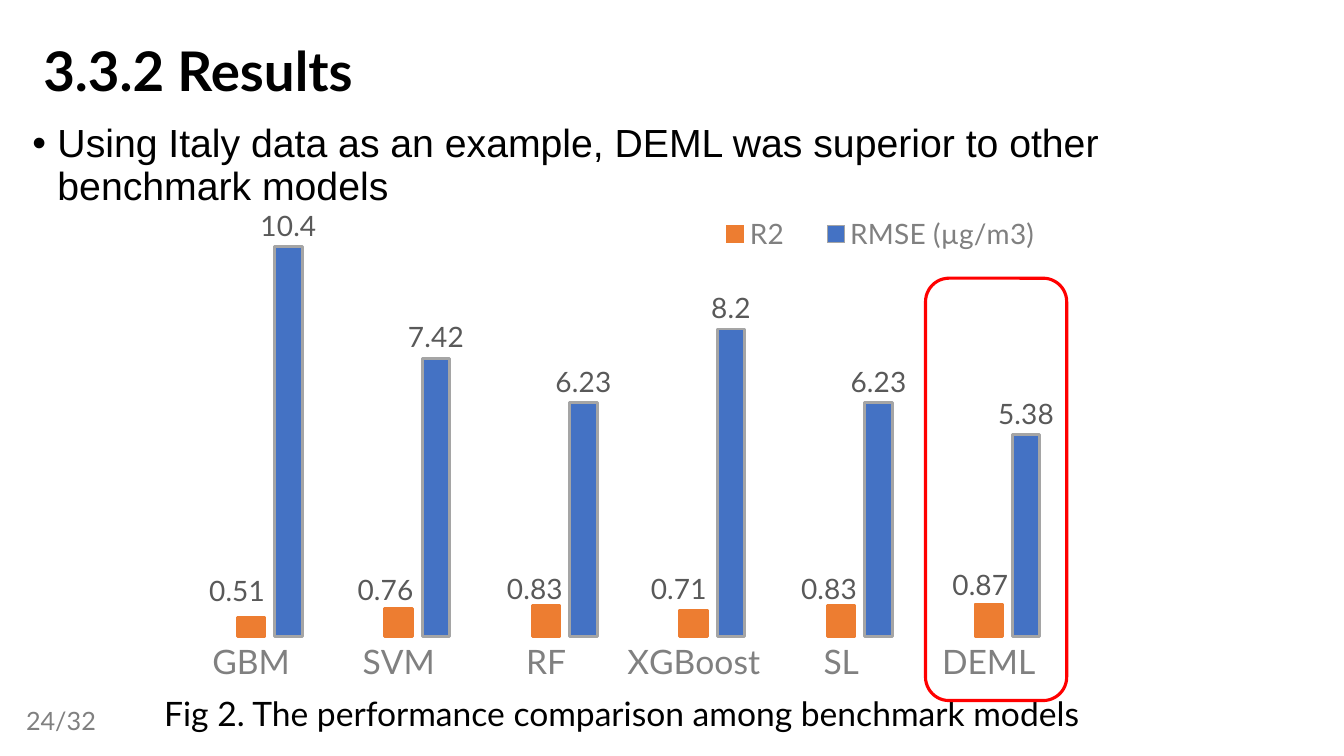
from lxml import etree
from pptx import Presentation
from pptx.chart import data as chart_data
from pptx.dml import color as dml
from pptx.enum import chart as charts, shapes, text
from pptx.oxml import ns
from pptx.util import Inches, Pt

COLORS = {"black": "000000", "grey": "808080", "label": "595959", "orange": "ED7D31",
          "blue": "4472C4", "outline": "A5A5A5", "red": "FF0000"}


def style_font(font, size, color, name="Lato", bold=False):
    font.name, font.size, font.bold = name, Pt(size), bold
    font.color.rgb = dml.RGBColor.from_string(COLORS[color])


def write_text(box, words, bounds, size, color="black", name="Lato", bold=False,
               align=text.PP_ALIGN.LEFT, spacing=1.0, bullet=None):
    box.left, box.top, box.width, box.height = [Inches(value) for value in bounds]
    frame = box.text_frame
    frame.word_wrap = True
    frame.auto_size = text.MSO_AUTO_SIZE.NONE
    frame.vertical_anchor = text.MSO_ANCHOR.TOP
    para = frame.paragraphs[0]
    para.alignment, para.line_spacing, para.space_before = align, spacing, Pt(0)
    if bullet:
        props = para._p.get_or_add_pPr()
        props.set("marL", str(Inches(0.25)))
        props.set("indent", str(-Inches(0.25)))
        etree.SubElement(props, ns.qn("a:buFont")).set("typeface", "Arial")
        etree.SubElement(props, ns.qn("a:buChar")).set("char", bullet)
    span = para.add_run()
    span.text = words
    style_font(span.font, size, color, name, bold)


deck = Presentation()
deck.slide_width, deck.slide_height = Inches(13.33), Inches(7.5)
page = deck.slides.add_slide(deck.slide_layouts[1])

write_text(page.shapes.title, "3.3.2 Results", (0.33, 0.39, 8.15, 0.81), 39,
           bold=True, spacing=0.9)
write_text(page.placeholders[1],
           "Using Italy data as an example, DEML was superior to other benchmark models",
           (0.22, 1.18, 11.51, 0.81), 28, name="Arial", spacing=0.9, bullet="•")

results = chart_data.CategoryChartData()
results.categories = ["GBM", "SVM", "RF", "XGBoost", "SL", "DEML"]
results.add_series("Series 1", [None] * 6)
results.add_series("R2", [0.51, 0.76, 0.83, 0.71, 0.83, 0.87])
results.add_series("RMSE (µg/m3)", [10.4, 7.42, 6.23, 8.2, 6.23, 5.38])
chart = page.shapes.add_chart(charts.XL_CHART_TYPE.COLUMN_CLUSTERED, Inches(1.76), Inches(0.97),
                              Inches(9.3), Inches(6.14), results).chart
chart.has_title = False
style_font(chart.font, 20, "black")

models = chart.category_axis
models.major_tick_mark = models.minor_tick_mark = charts.XL_TICK_MARK.NONE
models.format.line.fill.background()
style_font(models.tick_labels.font, 24, "grey")
scale = chart.value_axis
scale.minimum_scale, scale.maximum_scale = 0, 12
scale.has_major_gridlines = False
scale.visible = False

bars = chart.plots[0]
bars.gap_width, bars.overlap, bars.vary_by_categories = 164, -35, False
for series, fill, line in zip(bars.series, [None, "orange", "blue"],
                              ["blue", "orange", "outline"]):
    if fill:
        series.format.fill.solid()
        series.format.fill.fore_color.rgb = dml.RGBColor.from_string(COLORS[fill])
    else:
        series.format.fill.background()
    series.format.line.color.rgb = dml.RGBColor.from_string(COLORS[line])
    series.format.line.width = Pt(2)
    labels = series.data_labels
    labels.show_value = True
    labels.position = charts.XL_LABEL_POSITION.OUTSIDE_END
    style_font(labels.font, 20, "label")

chart.has_legend = True
legend = chart.legend
legend.position = charts.XL_LEGEND_POSITION.TOP
legend.include_in_layout = False
style_font(legend.font, 20, "grey")
hidden = etree.Element(ns.qn("c:legendEntry"))
etree.SubElement(hidden, ns.qn("c:idx")).set("val", "0")
etree.SubElement(hidden, ns.qn("c:delete")).set("val", "1")
legend._element.find(ns.qn("c:legendPos")).addnext(hidden)

EDGES = [("xMode", "edge"), ("yMode", "edge")]
layouts = [
    (chart._chartSpace.chart.plotArea, None,
     [("layoutTarget", "inner"), *EDGES, ("x", 0), ("y", 0.143), ("w", 0.944), ("h", 0.728)]),
    (legend._element, hidden, [*EDGES, ("x", 0.55), ("y", 0.19), ("w", 0.4), ("h", 0.06)])]
label_shifts = [(-0.015, -0.01), (-0.014, 0.005), (-0.012, 0.006),
                (-0.016, 0), (-0.013, 0.006), (-0.009, 0.002)]
for index, (x, y) in enumerate(label_shifts):
    label = bars.series[1].points[index].data_label
    label.position = charts.XL_LABEL_POSITION.OUTSIDE_END
    style_font(label.font, 20, "label")
    element = bars.series[1].data_labels._element.findall(ns.qn("c:dLbl"))[index]
    layouts.append((element, element.find(ns.qn("c:idx")), [("x", x), ("y", y)]))
for parent, previous, values in layouts:
    for old in parent.findall(ns.qn("c:layout")):
        parent.remove(old)
    layout = etree.Element(ns.qn("c:layout"))
    manual = etree.SubElement(layout, ns.qn("c:manualLayout"))
    for tag, value in values:
        etree.SubElement(manual, ns.qn("c:" + tag)).set("val", str(value))
    if previous is None:
        parent.insert(0, layout)
    else:
        previous.addnext(layout)

caption = page.shapes.add_textbox(0, 0, 0, 0)
write_text(caption, "Fig 2. The performance comparison among benchmark models",
           (0.64, 6.83, 11.05, 0.5), 24, align=text.PP_ALIGN.CENTER)
page_number = page.shapes.add_textbox(0, 0, 0, 0)
write_text(page_number, "24/32", (0.16, 6.95, 0.94, 0.4), 18, color="grey")

highlight = page.shapes.add_shape(shapes.MSO_SHAPE.ROUNDED_RECTANGLE, Inches(9.18), Inches(2.76),
                                  Inches(1.4), Inches(4.19))
highlight.shadow.inherit = False
highlight.fill.background()
highlight.line.color.rgb = dml.RGBColor.from_string(COLORS["red"])
highlight.line.width = Pt(2.25)

deck.save("out.pptx")
